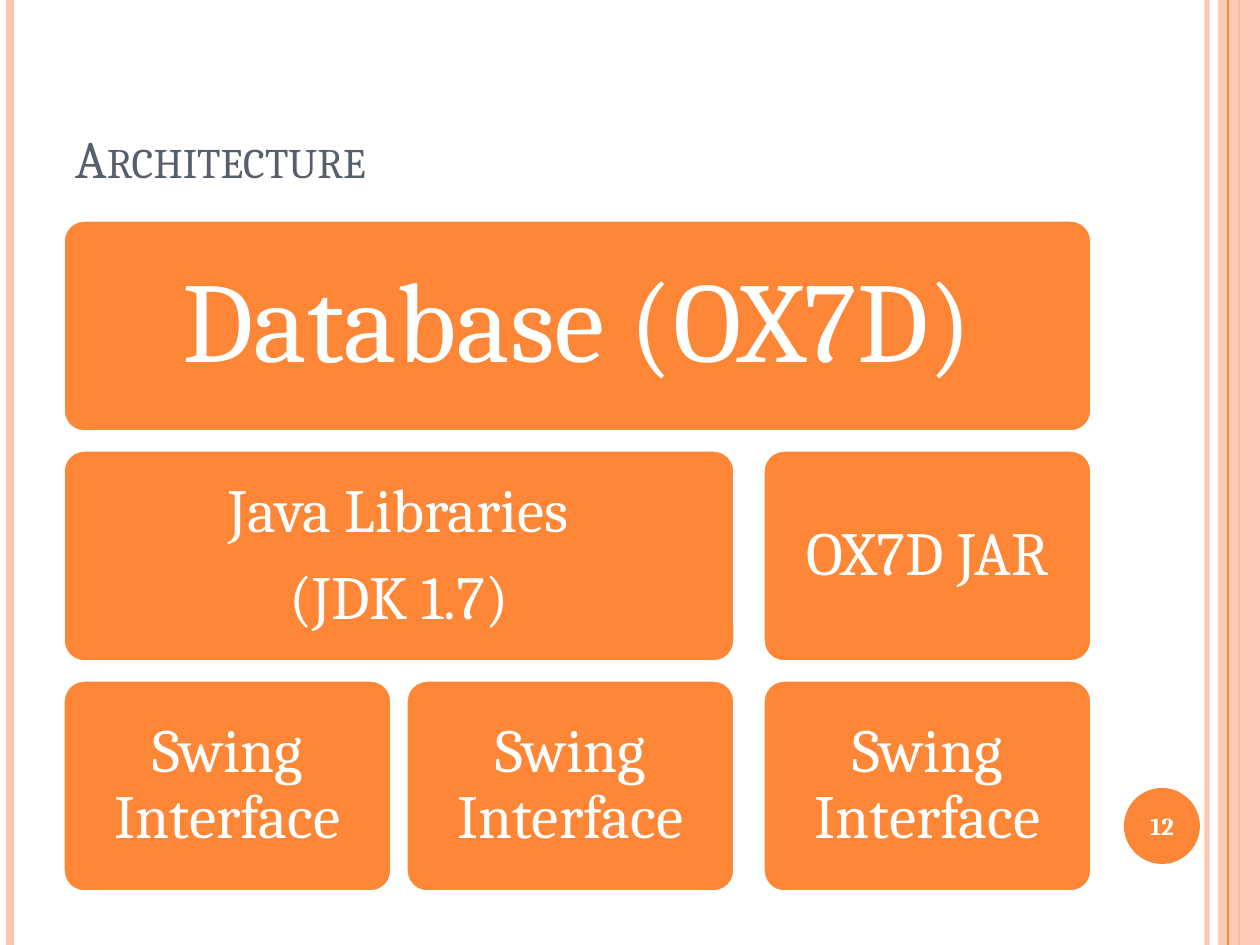
from lxml import etree
from pptx import Presentation
from pptx.dml.color import RGBColor
from pptx.enum.shapes import MSO_CONNECTOR, MSO_SHAPE
from pptx.enum.text import MSO_ANCHOR, PP_ALIGN
from pptx.oxml.ns import qn
from pptx.util import Emu, Pt

STRAIGHT = MSO_CONNECTOR.STRAIGHT
RECTANGLE, ROUNDED, OVAL = MSO_SHAPE.RECTANGLE, MSO_SHAPE.ROUNDED_RECTANGLE, MSO_SHAPE.OVAL
MIDDLE, BOTTOM = MSO_ANCHOR.MIDDLE, MSO_ANCHOR.BOTTOM
CENTER = PP_ALIGN.CENTER

ORANGE = RGBColor(0xFE, 0x86, 0x37)
PEACH = RGBColor(0xFE, 0xC3, 0xAE)
SLATE = RGBColor(0x57, 0x5F, 0x6D)
WHITE = RGBColor(0xFF, 0xFF, 0xFF)
FONT = "Cambria"
WIDTH, HEIGHT = 1260, 945
EMU_PER_INCH, PX_PER_INCH = 914400, 126


def px(*lengths):
    return [Emu(round(length * EMU_PER_INCH / PX_PER_INCH)) for length in lengths]


def set_opacity(properties, percent):
    """Add an alpha value to the first solid colour below properties."""
    color = next(properties.iter(qn("a:srgbClr")))
    etree.SubElement(color, qn("a:alpha")).set("val", str(percent * 1000))


presentation = Presentation()
presentation.slide_width, presentation.slide_height = px(WIDTH, HEIGHT)
slide = presentation.slides.add_slide(presentation.slide_layouts[6])
shapes = slide.shapes

# Side stripes: x, colour, width in points, opacity; None stands for the band
stripes = [
    (1207, PEACH, 3, 93),
    (10, PEACH, 4.5, 100),
    (1239, ORANGE, 1.5, 100),
    None,
    (1228, ORANGE, 0.75, 100),
]
for stripe in stripes:
    if stripe is None:
        band = shapes.add_shape(RECTANGLE, *px(1218, 0, 42, HEIGHT))
        band.shadow.inherit = False
        band.fill.solid()
        band.fill.fore_color.rgb = PEACH
        band.line.fill.background()
        set_opacity(band._element.spPr, 87)
        continue
    x, color, weight, opacity = stripe
    line = shapes.add_connector(STRAIGHT, *px(x, 0, x, HEIGHT))
    line.line.color.rgb = color
    line.line.width = Pt(weight)
    if opacity < 100:
        set_opacity(line._element.spPr, opacity)
    etree.SubElement(line._element.spPr, qn("a:effectLst"))

# Title
title = shapes.add_textbox(*px(63, 38, 1029, 157))
title_frame = title.text_frame
title_frame.word_wrap = True
title_frame.vertical_anchor = BOTTOM
title_frame.text = "Architecture"
title_run = title_frame.paragraphs[0].runs[0]
title_run.font.name = FONT
title_run.font.size = Pt(30)
title_run.font.color.rgb = SLATE
title_run._r.get_or_add_rPr().set("cap", "small")

# Architecture blocks: row, first column, last column, text, font size, inset
COLUMN_LEFTS = [63, 406, 763]
COLUMN_WIDTH = 329
ROW_TOP, ROW_PITCH, ROW_HEIGHT = 220, 230, 212
blocks = [
    (0, 0, 2, "Database (OX7D)", 65, 28),
    (1, 0, 1, "Java Libraries\n(JDK 1.7)", 35, 13),
    (2, 0, 0, "Swing Interface", 35, 13),
    (2, 1, 1, "Swing Interface", 35, 13),
    (1, 2, 2, "OX7D JAR", 35, 13),
    (2, 2, 2, "Swing Interface", 35, 13),
]
for row, first, last, text, size, inset in blocks:
    left = COLUMN_LEFTS[first]
    width = COLUMN_LEFTS[last] + COLUMN_WIDTH - left
    block = shapes.add_shape(ROUNDED, *px(left, ROW_TOP + row * ROW_PITCH, width, ROW_HEIGHT))
    block.adjustments[0] = 0.1
    block.shadow.inherit = False
    block.fill.solid()
    block.fill.fore_color.rgb = ORANGE
    block.line.color.rgb = WHITE
    block.line.width = Pt(2)
    frame = block.text_frame
    frame.word_wrap = True
    frame.vertical_anchor = MIDDLE
    frame.margin_left, frame.margin_top, frame.margin_right, frame.margin_bottom = px(*[inset] * 4)
    frame.text = text
    for paragraph in frame.paragraphs:
        paragraph.alignment = CENTER
        paragraph.line_spacing = 0.9
        paragraph.space_after = Pt(round(size * 0.35))
        font = paragraph.runs[0].font
        font.name = FONT
        font.size = Pt(size)
        font.color.rgb = WHITE

# Slide number
badge = shapes.add_shape(OVAL, *px(1124, 788, 76, 76))
badge.shadow.inherit = False
badge.fill.solid()
badge.fill.fore_color.rgb = ORANGE
badge.line.fill.background()
number = shapes.add_textbox(*px(1120, 790, 84, 72))
number_frame = number.text_frame
number_frame.word_wrap = True
number_frame.vertical_anchor = MIDDLE
number_frame.text = "12"
number_frame.paragraphs[0].alignment = CENTER
number_font = number_frame.paragraphs[0].runs[0].font
number_font.name = FONT
number_font.size = Pt(14)
number_font.bold = True
number_font.color.rgb = WHITE

presentation.save("out.pptx")
